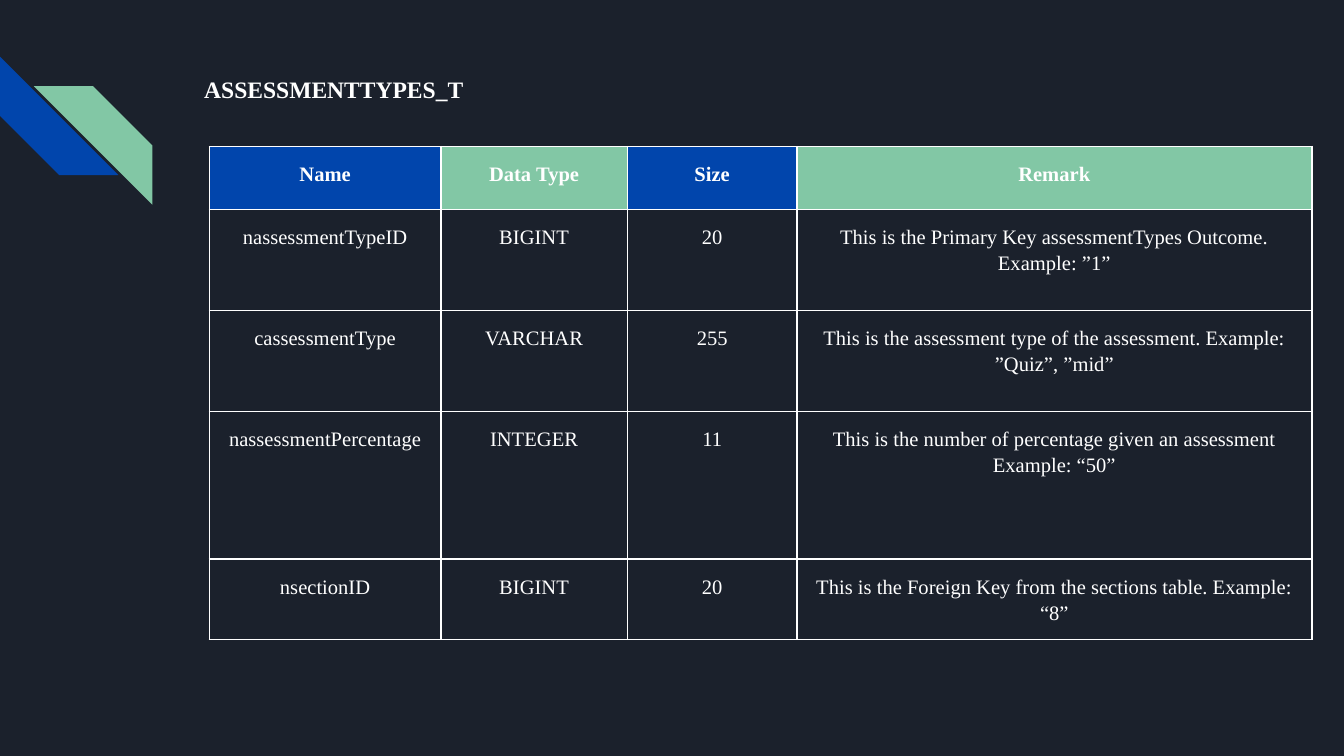
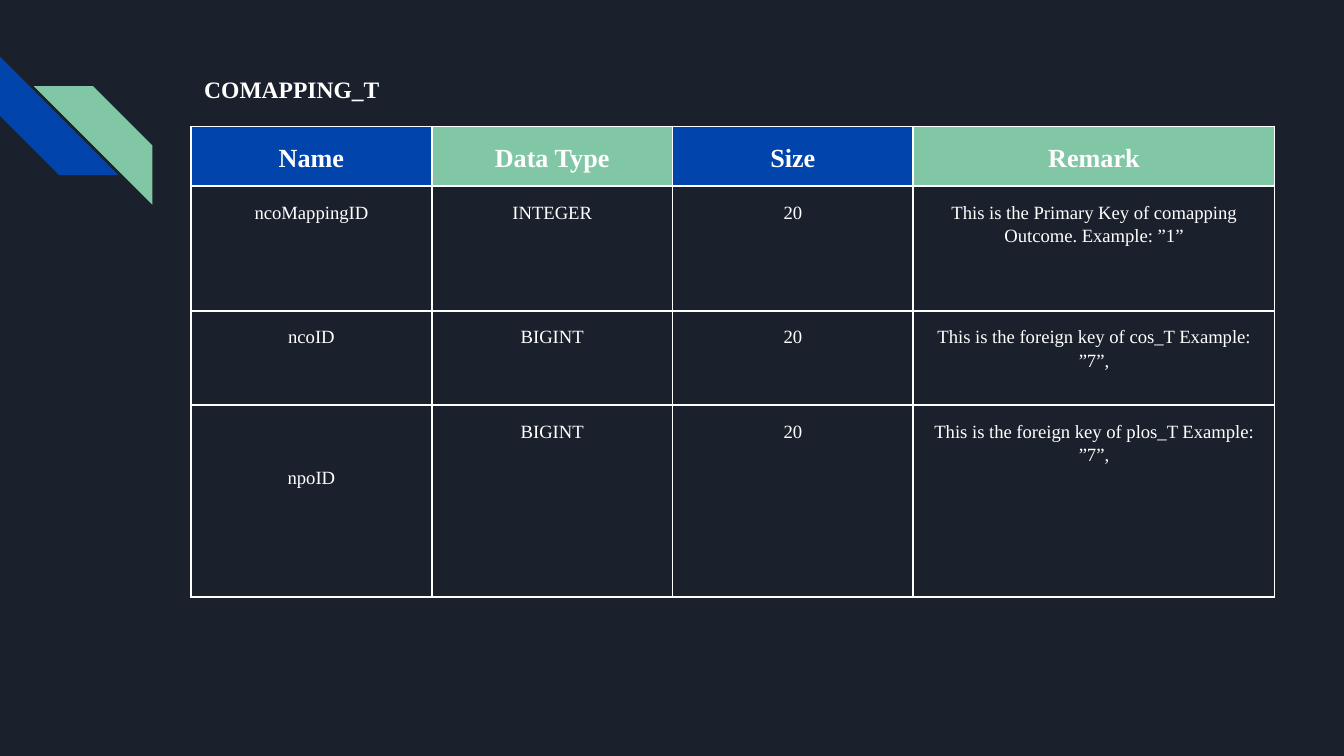
from lxml import etree
from pptx import Presentation
from pptx import util as u
from pptx.dml.color import RGBColor
from pptx.enum import shapes, text
from pptx.oxml import ns

NAVY = RGBColor(0x1B, 0x21, 0x2C)
BLUE = RGBColor(0x01, 0x45, 0xAC)
GREEN = RGBColor(0x82, 0xC7, 0xA5)
WHITE = RGBColor(0xFF, 0xFF, 0xFF)
FONT = "Times New Roman"
HEADINGS = ("Name", "Data Type", "Size", "Remark")

TITLE_FRAME = dict(
    margin_left=u.Cm(0.25), margin_right=u.Cm(0.25),
    margin_top=u.Cm(0.25), margin_bottom=u.Cm(0.25),
    vertical_anchor=text.MSO_ANCHOR.TOP,
    auto_size=text.MSO_AUTO_SIZE.NONE, word_wrap=True,
)
CELL_FRAME = dict(
    margin_left=u.Cm(0.18), margin_right=u.Cm(0.18),
    margin_top=u.Cm(0.25), margin_bottom=u.Cm(0.25),
    vertical_anchor=text.MSO_ANCHOR.TOP,
)

ASSESSMENT_TYPES = dict(
    title="ASSESSMENTTYPES_T",
    title_size=(7.75, 1.14),
    corner=(3.96, 2.77),
    widths=(4.37, 3.53, 3.2, 9.73),
    heights=(1.19, 1.91, 1.91, 2.79, 1.52),
    heading_size=11,
    body_size=11,
    fields=(
        ("nassessmentTypeID", "BIGINT", "20",
         "This is the Primary Key assessmentTypes Outcome. Example: ”1”"),
        ("cassessmentType", "VARCHAR", "255",
         "This is the assessment type of the assessment. Example: ”Quiz”, ”mid”"),
        ("nassessmentPercentage", "INTEGER", "11",
         "This is the number of percentage given an assessment Example: “50”"),
        ("nsectionID", "BIGINT", "20",
         "This is the Foreign Key from the sections table. Example: “8”"),
    ),
)
CO_MAPPING = dict(
    title="COMAPPING_T",
    title_size=(6.5, 1.3),
    corner=(3.61, 2.39),
    widths=(4.55, 4.55, 4.55, 6.83),
    heights=(1.13, 2.36, 1.78, 3.63),
    heading_size=14,
    body_size=10,
    fields=(
        ("ncoMappingID", "INTEGER", "20",
         "This is the Primary Key of comapping Outcome. Example: ”1”"),
        ("ncoID", "BIGINT", "20", "This is the foreign key of cos_T Example: ”7”,"),
        ("npoID", "BIGINT", "20", "This is the foreign key of plos_T Example: ”7”,"),
    ),
)


def apply(target, values):
    for name, value in values.items():
        setattr(target, name, value)


def write(frame, wording, size, bold, align):
    frame.text = wording
    paragraph = frame.paragraphs[0]
    apply(paragraph, dict(alignment=align, line_spacing=1.15, space_before=u.Pt(0)))
    font = paragraph.runs[0].font
    apply(font, dict(name=FONT, size=u.Pt(size), bold=bold))
    font.color.rgb = WHITE


def add_corner_stripes(slide, left, top):
    side = 2.24
    for dx, dy, turn, colour in ((0, 0, 270, BLUE), (0.64, 0.56, 90, GREEN)):
        stripe = slide.shapes.add_shape(
            shapes.MSO_SHAPE.DIAGONAL_STRIPE,
            u.Cm(left + dx), u.Cm(top + dy), u.Cm(side), u.Cm(side))
        stripe.rotation = turn
        stripe.shadow.inherit = False
        stripe.fill.solid()
        stripe.fill.fore_color.rgb = colour
        stripe.line.fill.background()


def add_title(slide, wording, left, top, width, height):
    title = slide.shapes.title
    apply(title, dict(left=u.Cm(left), top=u.Cm(top),
                      width=u.Cm(width), height=u.Cm(height)))
    apply(title.text_frame, TITLE_FRAME)
    write(title.text_frame, wording, 12.6, True, text.PP_ALIGN.LEFT)


def add_borders(cell):
    properties = cell._tc.get_or_add_tcPr()
    for side in ("a:lnL", "a:lnR", "a:lnT", "a:lnB"):
        line = etree.SubElement(properties, ns.qn(side), w=str(u.Pt(1)))
        fill = etree.SubElement(line, ns.qn("a:solidFill"))
        etree.SubElement(fill, ns.qn("a:srgbClr"), val=str(WHITE))


def add_field_table(slide, left, top, content):
    widths, heights = content["widths"], content["heights"]
    rows = (HEADINGS, *content["fields"])
    table = slide.shapes.add_table(
        len(rows), len(HEADINGS), u.Cm(left), u.Cm(top),
        u.Cm(sum(widths)), u.Cm(sum(heights))).table
    apply(table, dict(first_row=False, horz_banding=False))
    for column, width in zip(table.columns, widths):
        column.width = u.Cm(width)
    for r, (wordings, height) in enumerate(zip(rows, heights)):
        table.rows[r].height = u.Cm(height)
        heading = r == 0
        size = content["heading_size" if heading else "body_size"]
        for c, wording in enumerate(wordings):
            cell = table.cell(r, c)
            apply(cell, CELL_FRAME)
            add_borders(cell)
            if heading:
                cell.fill.solid()
                cell.fill.fore_color.rgb = (BLUE, GREEN)[c % 2]
            else:
                cell.fill.background()
            write(cell.text_frame, wording, size, heading, text.PP_ALIGN.CENTER)
    return table


def add_schema_slide(deck, content):
    slide = deck.slides.add_slide(deck.slide_layouts[5])
    add_corner_stripes(slide, 0, 1.07)
    add_title(slide, content["title"], 3.61, 1.09, *content["title_size"])
    return add_field_table(slide, *content["corner"], content)


def main():
    deck = Presentation()
    apply(deck, dict(slide_width=u.Cm(25.4), slide_height=u.Cm(14.29)))
    backdrop = deck.slide_master.background.fill
    backdrop.solid()
    backdrop.fore_color.rgb = NAVY
    add_schema_slide(deck, ASSESSMENT_TYPES)
    mapping_table = add_schema_slide(deck, CO_MAPPING)
    mapping_table.cell(3, 0).margin_top = u.Cm(1.12)
    deck.save("out.pptx")


if __name__ == "__main__":
    main()
